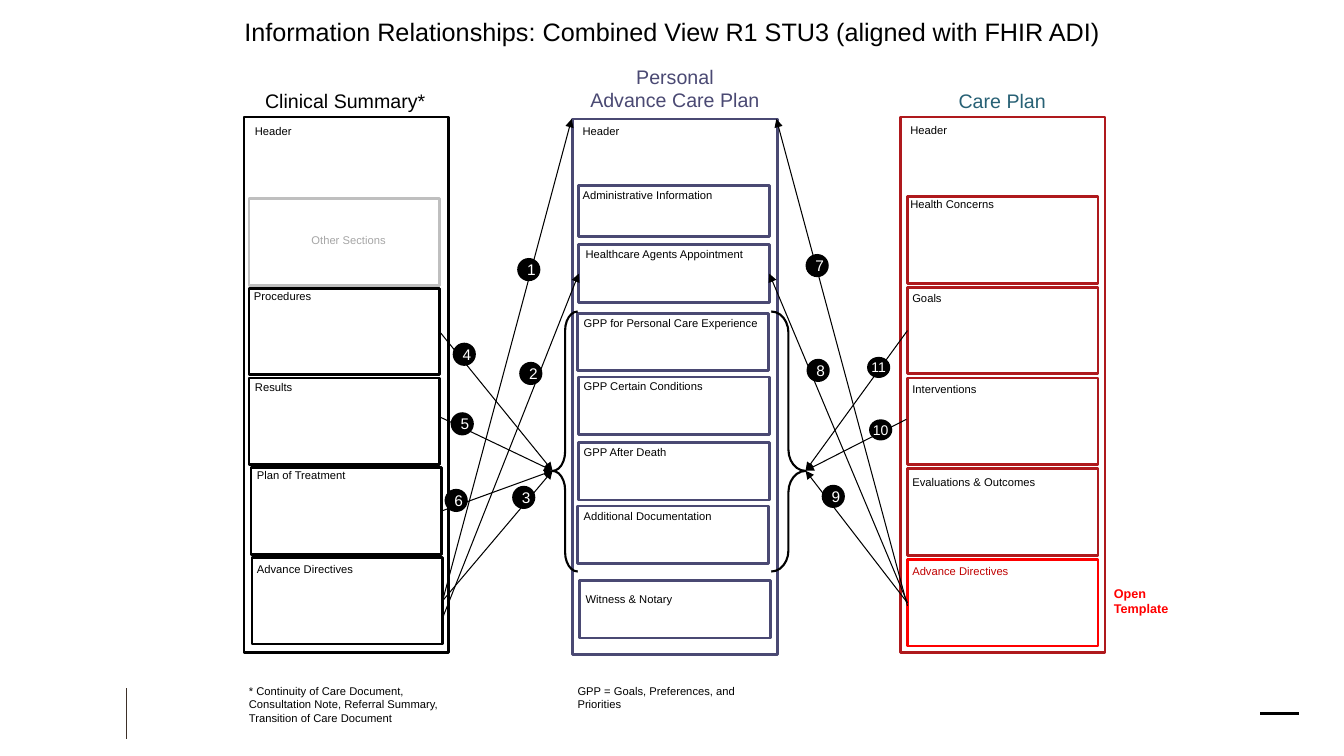
from dataclasses import dataclass
from typing import NamedTuple

from lxml.etree import SubElement
from pptx import Presentation
from pptx.dml.color import RGBColor
from pptx.enum.shapes import MSO_CONNECTOR, MSO_SHAPE
from pptx.enum.text import MSO_ANCHOR, MSO_AUTO_SIZE, PP_ALIGN
from pptx.oxml.ns import qn
from pptx.shapes.autoshape import Shape
from pptx.shapes.connector import Connector
from pptx.slide import Slide
from pptx.text.text import TextFrame
from pptx.util import Pt

SCALE = 9144  # EMU per px, 100 px to the inch
LEFT, RIGHT = 1, 3


@dataclass(frozen=True)
class Theme:
    black: str = "000000"
    white: str = "FFFFFF"
    brown: str = "3D3029"
    pale: str = "BFBFBF"
    grey: str = "A6A6A6"
    purple: str = "4A4973"
    teal: str = "286175"
    crimson: str = "AF191D"
    maroon: str = "C00000"
    red: str = "FF0000"
    font: str = "Arial"
    title: int = 18
    head: int = 14
    label: int = 8
    open: int = 9
    badge: int = 11
    small: int = 10
    frame: float = 2
    brace: float = 1.5
    arrow: float = 0.75
    thin: float = 0.5


THEME = Theme()


class Box(NamedTuple):
    x: int
    y: int
    w: int
    h: int


class Point(NamedTuple):
    x: int
    y: int


class Side(NamedTuple):
    key: str
    site: int


class Label(NamedTuple):
    text: str
    box: Box
    size: int = THEME.label
    color: str = THEME.black
    wrap: bool = True
    align: PP_ALIGN = PP_ALIGN.LEFT
    bold: bool = False


class Part(NamedTuple):
    """A section of a document: its frame, and where its label starts."""
    key: str
    text: str
    box: Box
    at: Point
    width: int
    line: str
    ink: str = THEME.black


class Arrow(NamedTuple):
    start: Point | Side
    end: Point | Side


class Badge(NamedTuple):
    number: int
    x: int
    y: int


def clinic(row: int, key: str, text: str, x: int, at: Point, width: int,
           line: str = THEME.black, ink: str = THEME.black) -> Part:
    return Part(key, text, Box(x, 197 + 89 * row, 189, 86), at, width, line, ink)


def care(row: int, key: str, text: str, at: Point, width: int,
         line: str = THEME.crimson, ink: str = THEME.black) -> Part:
    return Part(key, text, Box(900, 195 + 90 * row, 189, 86), at, width, line, ink)


def advance(key: str, text: str, x: int, y: int, at: Point, width: int,
            height: int = 57) -> Part:
    return Part(key, text, Box(x, y, 189, height), at, width, THEME.purple)


PARTS = [
    clinic(0, "other", "Other Sections", 247, Point(299, 227), 95, THEME.pale, THEME.grey),
    clinic(1, "procedures", "Procedures", 247, Point(242, 282), 78),
    clinic(2, "results", "Results", 247, Point(243, 372), 58),
    clinic(3, "treatment", "Plan of Treatment", 249, Point(245, 460), 110),
    clinic(4, "source", "Advance Directives", 250, Point(245, 553), 117),
    advance("admin", "Administrative Information", 574, 184, Point(568, 182), 150, 51),
    advance("agents", "Healthcare Agents Appointment", 574, 243, Point(571, 240), 180),
    advance("personal", "GPP for Personal Care Experience", 573, 311, Point(569, 309), 195),
    advance("certain", "GPP Certain Conditions", 574, 374, Point(569, 371), 140),
    advance("death", "GPP After Death", 574, 439, Point(569, 437), 104),
    advance("extra", "Additional Documentation", 573, 502, Point(569, 500), 149),
    advance("witness", "Witness & Notary", 575, 576, Point(571, 583), 107),
    care(0, "concerns", "Health Concerns", Point(893, 191), 104),
    care(1, "goals", "Goals", Point(895, 284), 50),
    care(2, "actions", "Interventions", Point(895, 374), 85),
    care(3, "outcomes", "Evaluations & Outcomes", Point(895, 467), 144),
    care(4, "open", "Advance Directives", Point(895, 555), 117, THEME.red, THEME.maroon),
]
FRAMES = [
    (Box(242, 116, 203, 531), THEME.black, Point(243, 118)),
    (Box(568, 118, 203, 531), THEME.purple, Point(568, 118)),
    (Box(893, 116, 203, 531), THEME.crimson, Point(893, 117)),
]
MID = PP_ALIGN.CENTER
LABELS = [
    Label("Information Relationships: Combined View R1 STU3 (aligned with FHIR ADI)",
          Box(167, 11, 999, 40), THEME.title, align=MID),
    Label("Clinical Summary*", Box(242, 83, 201, 34), THEME.head, align=MID),
    Label("Personal\nAdvance Care Plan", Box(568, 59, 203, 57), THEME.head,
          THEME.purple, align=MID),
    Label("Care Plan", Box(893, 83, 202, 34), THEME.head, THEME.teal, align=MID),
    Label("Open\nTemplate", Box(1095, 576, 76, 40), THEME.open, THEME.red,
          wrap=False, bold=True),
    Label("* Continuity of Care Document, Consultation Note, Referral Summary, "
          "Transition of Care Document", Box(237, 674, 213, 50)),
    Label("GPP = Goals, Preferences, and Priorities", Box(563, 674, 213, 37)),
]
WEST, EAST = Point(548, 467), Point(799, 467)  # tips of the braces
ARROWS = [
    Arrow(Side("procedures", RIGHT), WEST),
    Arrow(Point(437, 414), WEST),
    Arrow(Side("treatment", RIGHT), WEST),
    Arrow(Side("source", RIGHT), WEST),
    Arrow(Side("source", RIGHT), Point(567, 118)),
    Arrow(Point(439, 613), Side("agents", LEFT)),
    Arrow(Side("open", LEFT), Side("agents", RIGHT)),
    Arrow(Side("open", LEFT), EAST),
    Arrow(Point(900, 601), Point(770, 118)),
    Arrow(Side("goals", LEFT), EAST),
    Arrow(Point(899, 416), EAST),
]
BADGES = [
    Badge(1, 513, 256), Badge(2, 515, 359), Badge(3, 508, 482), Badge(4, 449, 340),
    Badge(5, 447, 409), Badge(6, 441, 485), Badge(7, 799, 252), Badge(8, 800, 356),
    Badge(9, 815, 481), Badge(10, 862, 416), Badge(11, 860, 354),
]


def style(frame: TextFrame, size: int, color: str, align: PP_ALIGN,
          bold: bool = False) -> None:
    for para in frame.paragraphs:
        para.alignment = align
        for run in para.runs:
            run.font.name = THEME.font
            run.font.size = Pt(size)
            run.font.bold = bold
            run.font.color.rgb = RGBColor.from_string(color)


def add_label(slide: Slide, label: Label) -> None:
    frame = slide.shapes.add_textbox(*(n * SCALE for n in label.box)).text_frame
    frame.text = label.text
    frame.word_wrap = label.wrap
    frame.auto_size = MSO_AUTO_SIZE.SHAPE_TO_FIT_TEXT
    style(frame, label.size, label.color, label.align, label.bold)


def add_frame(slide: Slide, box: Box, color: str, width: float = THEME.frame,
              kind: MSO_SHAPE = MSO_SHAPE.RECTANGLE) -> Shape:
    shape = slide.shapes.add_shape(kind, *(n * SCALE for n in box))
    shape.shadow.inherit = False
    shape.fill.background()
    shape.line.color.rgb = RGBColor.from_string(color)
    shape.line.width = Pt(width)
    return shape


def add_brace(slide: Slide, box: Box, curl: float, flip: bool) -> None:
    brace = add_frame(slide, box, THEME.black, THEME.brace, MSO_SHAPE.RIGHT_BRACE)
    brace.adjustments[0], brace.adjustments[1] = curl, 0.613
    if flip:
        brace.element.spPr.find(qn("a:xfrm")).set("flipH", "1")


def add_line(slide: Slide, start: Point, end: Point, color: str, width: float) -> Connector:
    line = slide.shapes.add_connector(
        MSO_CONNECTOR.STRAIGHT, *(n * SCALE for n in (*start, *end)))
    line.line.color.rgb = RGBColor.from_string(color)
    line.line.width = Pt(width)
    SubElement(line.element.spPr, qn("a:effectLst"))
    return line


def add_arrow(slide: Slide, arrow: Arrow, shapes: dict[str, Shape]) -> None:
    """Draw an arrow, joined to a section wherever an end names a side."""
    start, end = (Point(0, 0) if isinstance(tip, Side) else tip for tip in arrow)
    line = add_line(slide, start, end, THEME.black, THEME.arrow)
    if isinstance(arrow.start, Side):
        line.begin_connect(shapes[arrow.start.key], arrow.start.site)
    if isinstance(arrow.end, Side):
        line.end_connect(shapes[arrow.end.key], arrow.end.site)
    SubElement(line.element.spPr.find(qn("a:ln")), qn("a:tailEnd"), type="triangle")


def add_badge(slide: Slide, badge: Badge) -> None:
    wide = badge.number > 9
    box = Box(badge.x, badge.y, 23, 21 if wide else 23)
    shape = add_frame(slide, box, THEME.black, kind=MSO_SHAPE.OVAL)
    shape.line.fill.background()
    shape.fill.solid()
    shape.fill.fore_color.rgb = RGBColor.from_string(THEME.black)
    frame = shape.text_frame
    frame.text = str(badge.number)
    frame.vertical_anchor = MSO_ANCHOR.MIDDLE
    if wide:
        frame.margin_left = frame.margin_right = frame.margin_top = frame.margin_bottom = 0
    style(frame, THEME.small if wide else THEME.badge, THEME.white, MID)


def main() -> None:
    deck = Presentation()
    deck.slide_width, deck.slide_height = 1333 * SCALE, 750 * SCALE
    slide = deck.slides.add_slide(deck.slide_layouts[6])
    add_line(slide, Point(125, 683), Point(125, 733), THEME.brown, THEME.thin)
    add_line(slide, Point(1250, 708), Point(1288, 708), THEME.black, THEME.frame)
    for box, color, at in FRAMES:
        add_frame(slide, box, color)
        add_label(slide, Label("Header", Box(*at, 57, 24), wrap=False))
    shapes: dict[str, Shape] = {}
    for part in PARTS:
        shapes[part.key] = add_frame(slide, part.box, part.line)
        add_label(slide, Label(part.text, Box(*part.at, part.width, 24),
                               color=part.ink, wrap=False))
    add_brace(slide, Box(548, 309, 25, 258), 0.76, True)
    add_brace(slide, Box(765, 309, 34, 258), 0.618, False)
    for arrow in ARROWS:
        add_arrow(slide, arrow, shapes)
    for label in LABELS:
        add_label(slide, label)
    for badge in BADGES:
        add_badge(slide, badge)
    deck.save("out.pptx")


if __name__ == "__main__":
    main()
